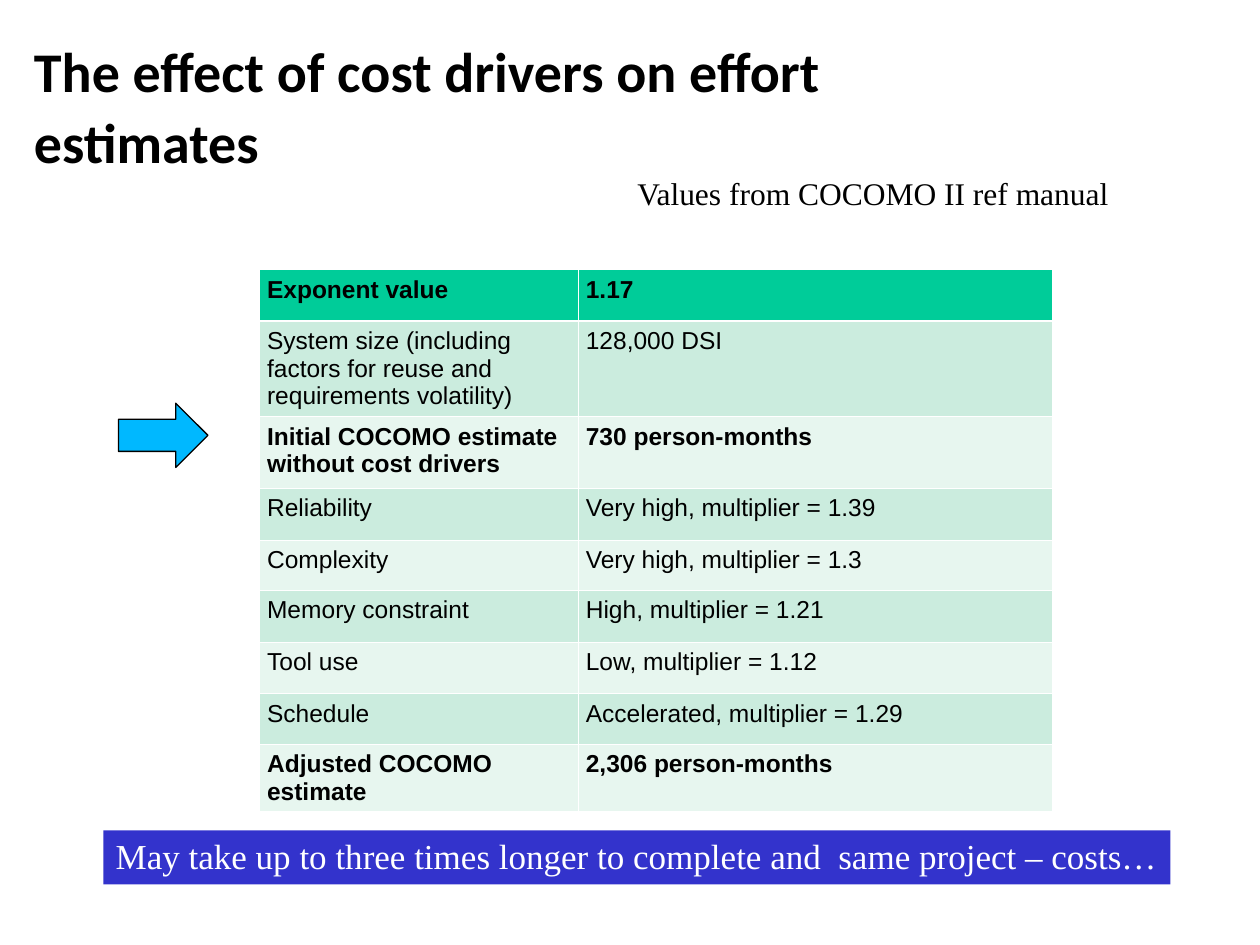
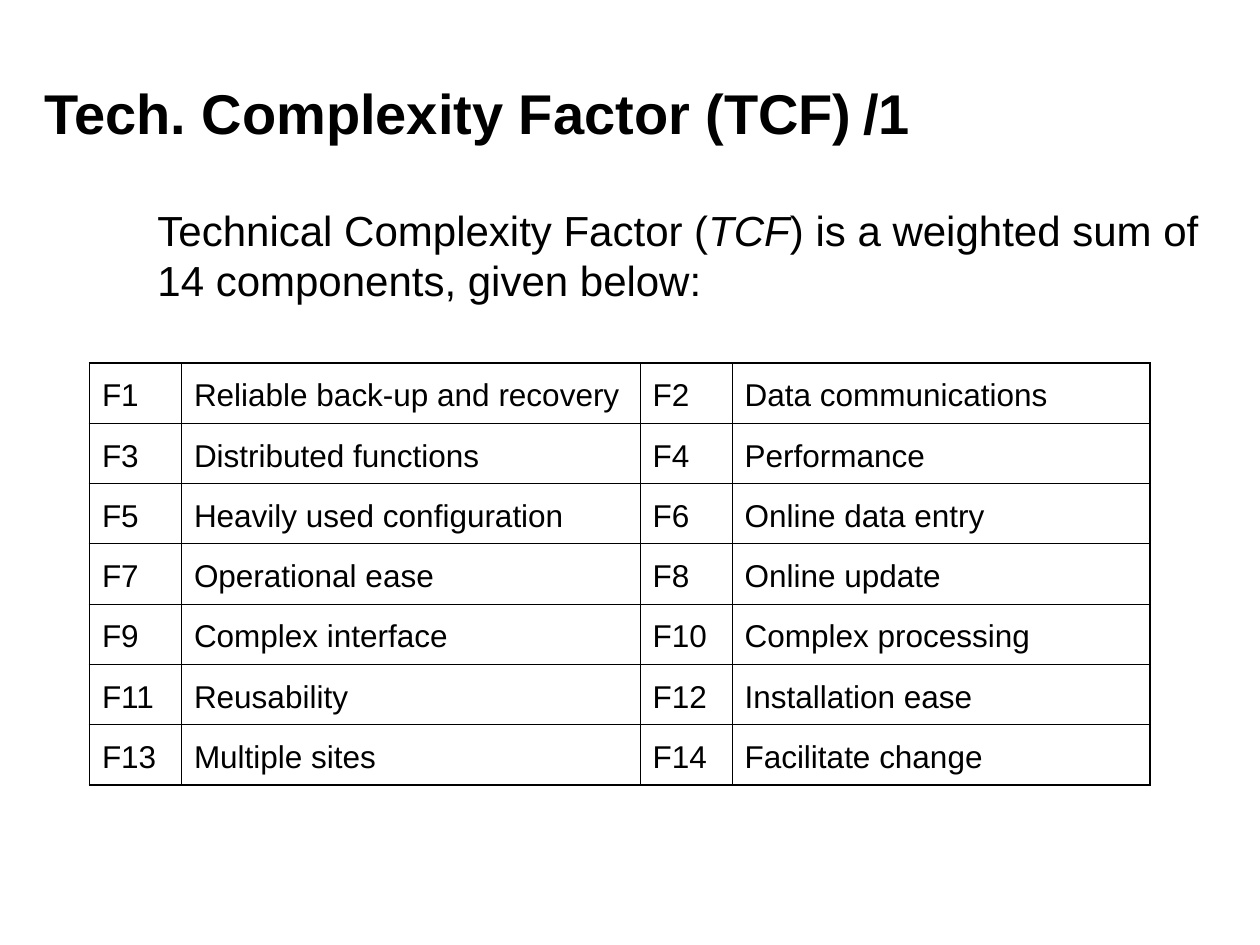
"""Build two slides on software effort estimation, laid out on a grid of 100 columns by 75 rows."""

from dataclasses import dataclass
from typing import Optional

import lxml.etree
import pptx
import pptx.dml.color
import pptx.enum.shapes
import pptx.enum.text
import pptx.oxml.ns
import pptx.util

SLIDE_WIDTH = pptx.util.Inches(10)
SLIDE_HEIGHT = pptx.util.Inches(7.5)
COLUMN = SLIDE_WIDTH / 100
ROW = SLIDE_HEIGHT / 75

COLORS = {
    "paper": "FFFFFF",
    "ink": "000000",
    "header": "00CC99",
    "band_dark": "CBECDE",
    "band_light": "E7F6EF",
    "pointer": "00B8FF",
    "banner": "3333CC",
}
RECTANGLE = pptx.enum.shapes.MSO_SHAPE.RECTANGLE
RIGHT_ARROW = pptx.enum.shapes.MSO_SHAPE.RIGHT_ARROW
LEFT = pptx.enum.text.PP_ALIGN.LEFT
JUSTIFY = pptx.enum.text.PP_ALIGN.JUSTIFY
TOP = pptx.enum.text.MSO_ANCHOR.TOP
MIDDLE = pptx.enum.text.MSO_ANCHOR.MIDDLE


@dataclass(frozen=True)
class Area:
    """A rectangle in grid columns and rows."""

    left: float
    top: float
    width: float
    height: float

    def emu(self) -> tuple[int, int, int, int]:
        """Return left, top, width and height in slide units."""
        return (round(self.left * COLUMN), round(self.top * ROW),
                round(self.width * COLUMN), round(self.height * ROW))


@dataclass(frozen=True)
class Words:
    """A run of text and its emphasis."""

    text: str
    bold: bool = False
    italic: bool = False


@dataclass(frozen=True)
class Style:
    """Font and paragraph settings."""

    font: str
    size: float
    color: str = "ink"
    line_spacing: Optional[float] = None
    before: float = 0
    after: float = 0
    indent: float = 0
    tab: Optional[float] = None


@dataclass(frozen=True)
class Panel:
    """A preset shape that may hold one paragraph."""

    area: Area
    words: tuple[Words, ...] = ()
    style: Optional[Style] = None
    fill: Optional[str] = None
    line: Optional[str] = None
    line_width: float = 2
    shape: pptx.enum.shapes.MSO_SHAPE = RECTANGLE
    anchor: pptx.enum.text.MSO_ANCHOR = TOP
    margins: tuple[float, float] = (0, 0)
    wrap: bool = True


@dataclass(frozen=True)
class Grid:
    """A table with its fills and rules."""

    area: Area
    columns: tuple[float, ...]
    rows: tuple[float, ...]
    cells: tuple[tuple[str, ...], ...]
    style: Style
    margins: tuple[float, float]
    alignments: tuple[pptx.enum.text.PP_ALIGN, ...]
    rule_color: str
    outer_rule: float
    inner_rule: float = 0.45
    header_rule: float = 0.45
    header: Optional[str] = None
    bands: tuple[str, ...] = ()
    bold_rows: tuple[int, ...] = ()


def rgb(name: str) -> pptx.dml.color.RGBColor:
    """Look up a named colour."""
    return pptx.dml.color.RGBColor.from_string(COLORS[name])


def write(frame, words: tuple[Words, ...], style: Style, alignment=LEFT) -> None:
    """Write one styled paragraph, run by run."""
    paragraph = frame.paragraphs[0]
    paragraph.alignment = alignment
    paragraph.space_before = pptx.util.Pt(style.before)
    paragraph.space_after = pptx.util.Pt(style.after)
    if style.line_spacing:
        paragraph.line_spacing = style.line_spacing
    properties = paragraph._p.get_or_add_pPr()
    properties.set("marL", str(round(style.indent * COLUMN)))
    properties.set("indent", "0")
    if style.tab:
        stops = lxml.etree.SubElement(properties, pptx.oxml.ns.qn("a:tabLst"))
        lxml.etree.SubElement(stops, pptx.oxml.ns.qn("a:tab"),
                              pos=str(round(style.tab * COLUMN)), algn="l")
    for part in words:
        run = paragraph.add_run()
        run.text = part.text
        run.font.name = style.font
        run.font.size = pptx.util.Pt(style.size)
        run.font.bold = part.bold
        run.font.italic = part.italic
        run.font.color.rgb = rgb(style.color)


def set_margins(holder, margins: tuple[float, float]) -> None:
    """Set the side and end margins of a cell or text frame."""
    side, end = margins
    holder.margin_left = holder.margin_right = round(side * COLUMN)
    holder.margin_top = holder.margin_bottom = round(end * ROW)


def draw_panel(slide, panel: Panel) -> None:
    """Draw a panel with its fill, outline and text."""
    shape = slide.shapes.add_shape(panel.shape, *panel.area.emu())
    shape.shadow.inherit = False
    if panel.fill:
        shape.fill.solid()
        shape.fill.fore_color.rgb = rgb(panel.fill)
    else:
        shape.fill.background()
    if panel.line:
        shape.line.color.rgb = rgb(panel.line)
        shape.line.width = pptx.util.Pt(panel.line_width)
    else:
        shape.line.fill.background()
    if panel.style:
        frame = shape.text_frame
        frame.word_wrap = panel.wrap
        frame.vertical_anchor = panel.anchor
        set_margins(frame, panel.margins)
        write(frame, panel.words, panel.style)


def rule_cell(cell, color: str, widths: dict[str, float]) -> None:
    """Give each side of a cell its rule."""
    properties = cell._tc.get_or_add_tcPr()
    for index, (side, width) in enumerate(widths.items()):
        rule = properties.makeelement(pptx.oxml.ns.qn(f"a:ln{side}"),
                                      {"w": str(pptx.util.Pt(width))})
        solid = lxml.etree.SubElement(rule, pptx.oxml.ns.qn("a:solidFill"))
        lxml.etree.SubElement(solid, pptx.oxml.ns.qn("a:srgbClr"), val=COLORS[color])
        properties.insert(index, rule)


def draw_grid(slide, grid: Grid) -> None:
    """Draw a table."""
    last_row, last_column = len(grid.rows) - 1, len(grid.columns) - 1
    table = slide.shapes.add_table(last_row + 1, last_column + 1, *grid.area.emu()).table
    table.first_row = table.horz_banding = False
    for column, width in zip(table.columns, grid.columns):
        column.width = round(width * COLUMN)
    for row, height in zip(table.rows, grid.rows):
        row.height = round(height * ROW)

    def row_rule(edge: int) -> float:
        """Return the width of the rule above the given row."""
        if edge in (0, last_row + 1):
            return grid.outer_rule
        return grid.header_rule if edge == 1 else grid.inner_rule

    def column_rule(edge: int) -> float:
        """Return the width of the rule left of the given column."""
        return grid.outer_rule if edge in (0, last_column + 1) else grid.inner_rule

    for r, texts in enumerate(grid.cells):
        for c, text in enumerate(texts):
            cell = table.cell(r, c)
            set_margins(cell, grid.margins)
            write(cell.text_frame, (Words(text, bold=r in grid.bold_rows),),
                  grid.style, grid.alignments[c])
            if grid.bands:
                cell.fill.solid()
                name = grid.header if r == 0 else grid.bands[(r - 1) % len(grid.bands)]
                cell.fill.fore_color.rgb = rgb(name)
            else:
                cell.fill.background()
            rule_cell(cell, grid.rule_color, {
                "L": column_rule(c), "R": column_rule(c + 1),
                "T": row_rule(r), "B": row_rule(r + 1)})


def title(text: str, area: Area, font: str, tab: Optional[float] = None) -> Panel:
    """Describe a slide title."""
    return Panel(area, (Words(text, bold=True),), Style(font, 32, line_spacing=1.06, tab=tab),
                 fill="paper", line="paper", anchor=MIDDLE)


def note(text: str, area: Area, size: float, color: str, fill: Optional[str], wrap: bool) -> Panel:
    """Describe a serif remark beside a table."""
    return Panel(area, (Words(text),), Style("Times New Roman", size, color, 0.97),
                 fill=fill, margins=(1, 0.5), wrap=wrap)


COST_DRIVERS = (
    title("The effect of cost drivers on effort estimates", Area(2.7, 2.5, 76.7, 11.4), "Calibri"),
    Grid(
        Area(20.6, 21.4, 62.9, 41.7), (25.3, 37.6), (4.1, 7, 5.7, 4.1, 4, 4.1, 4.1, 4, 4.7),
        (
            ("Exponent value", "1.17"),
            ("System size (including factors for reuse and requirements volatility)", "128,000 DSI"),
            ("Initial COCOMO estimate without cost drivers", "730 person-months"),
            ("Reliability", "Very high, multiplier = 1.39"),
            ("Complexity", "Very high, multiplier = 1.3"),
            ("Memory constraint", "High, multiplier = 1.21"),
            ("Tool use", "Low, multiplier = 1.12"),
            ("Schedule", "Accelerated, multiplier = 1.29"),
            ("Adjusted COCOMO estimate", "2,306 person-months"),
        ),
        Style("Arial", 14, after=3), (0.6, 0.5), (LEFT, JUSTIFY), "paper", 0.45,
        header_rule=1.47, header="header", bands=("band_dark", "band_light"), bold_rows=(0, 2, 8)),
    note("Values from COCOMO II ref manual", Area(49.6, 13.5, 45.9, 3.9), 18, "ink", None, True),
    Panel(Area(9.4, 32, 7.1, 5.1), fill="pointer", line="ink", line_width=0.75, shape=RIGHT_ARROW),
    note("May take up to three times longer to complete and  same project – costs…",
         Area(8.2, 65.9, 84.7, 4.3), 20, "paper", "banner", False),
)

FACTORS = (
    "Reliable back-up and recovery", "Data communications",
    "Distributed functions", "Performance",
    "Heavily used configuration", "Online data entry",
    "Operational ease", "Online update",
    "Complex interface", "Complex processing",
    "Reusability", "Installation ease",
    "Multiple sites", "Facilitate change",
)
FACTOR_ROWS = tuple(
    (f"F{n + 1}", FACTORS[n], f"F{n + 2}", FACTORS[n + 1]) for n in range(0, len(FACTORS), 2))

COMPLEXITY = (
    title("Tech. Complexity Factor (TCF)\t/1", Area(3.5, 2.5, 73.6, 12.5), "Arial", tab=69.1),
    Panel(Area(8.7, 16.2, 90, 14.9),
          (Words("Technical Complexity Factor ("), Words("TCF", italic=True),
           Words(") is a weighted sum of 14 components, given below:")),
          Style("Arial", 24, before=6, indent=3.8), fill="paper", line="paper"),
    Grid(Area(7.1, 28.8, 84.2, 33.5), (7.3, 36.4, 7.3, 33.2), (33.5 / 7,) * 7, FACTOR_ROWS,
         Style("Arial", 18, line_spacing=1.26, before=5), (1, 0.5), (LEFT,) * 4, "ink", 1.08),
)


def main() -> None:
    """Draw both slides and save the deck."""
    deck = pptx.Presentation()
    deck.slide_width, deck.slide_height = SLIDE_WIDTH, SLIDE_HEIGHT
    for items in (COST_DRIVERS, COMPLEXITY):
        slide = deck.slides.add_slide(deck.slide_layouts[6])
        slide.background.fill.solid()
        slide.background.fill.fore_color.rgb = rgb("paper")
        for item in items:
            if isinstance(item, Grid):
                draw_grid(slide, item)
            else:
                draw_panel(slide, item)
    deck.save("out.pptx")


if __name__ == "__main__":
    main()
